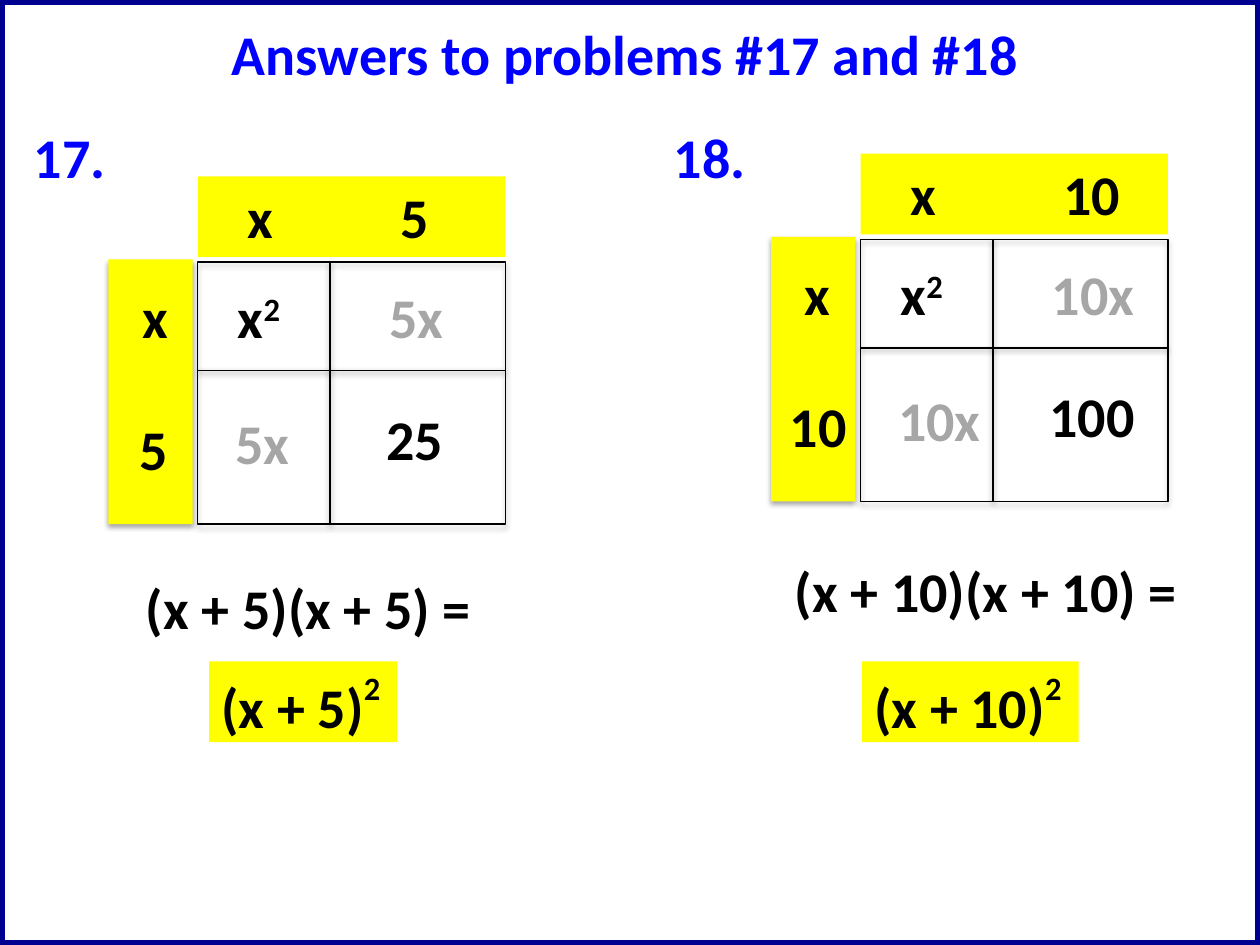
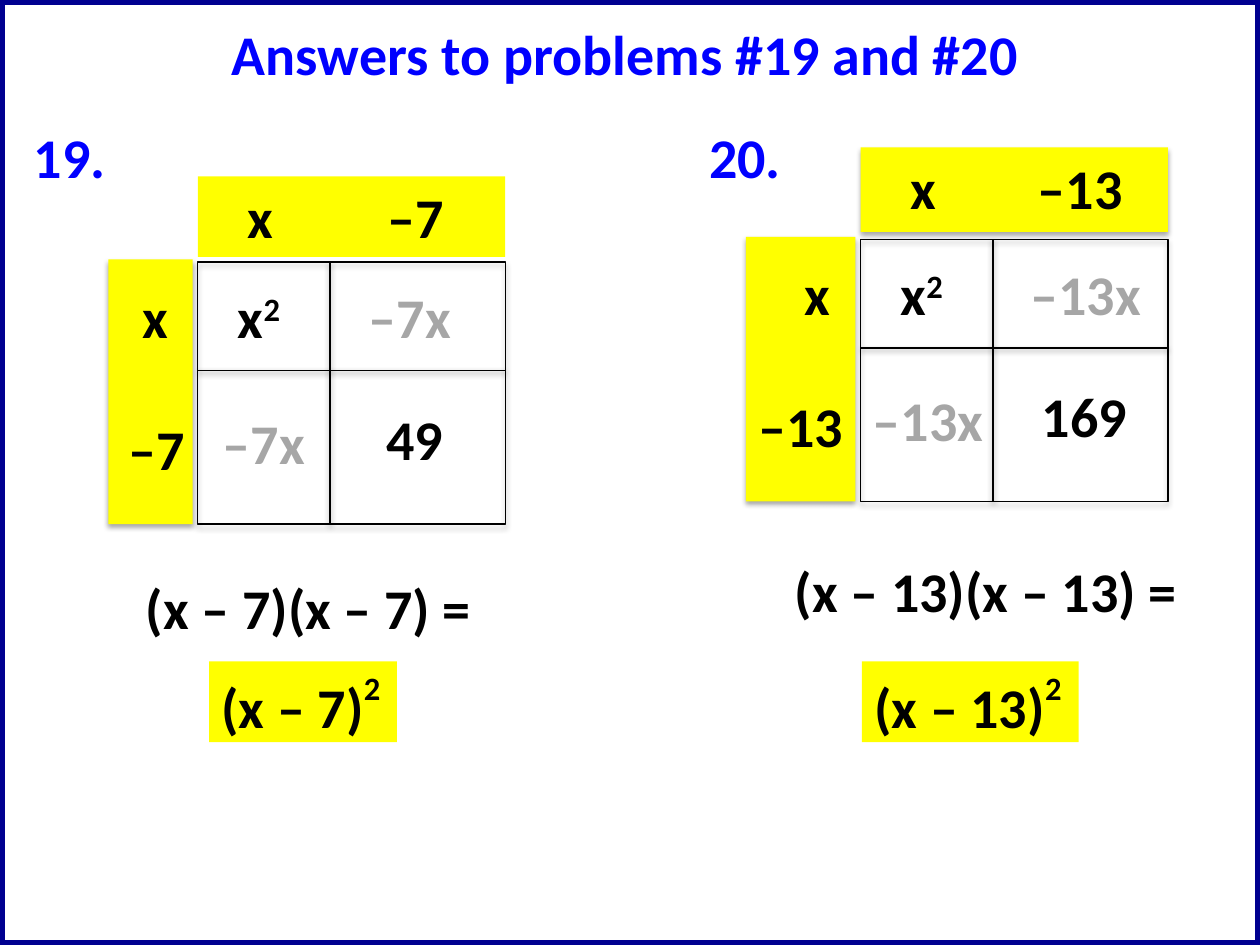
"""Build two answer slides that show squared binomials as area models."""
import pptx
import pptx.dml.color
import pptx.enum.shapes
import pptx.enum.text
import pptx.util
import lxml.etree
from pptx.oxml.ns import qn
from pptx.util import Inches

BLUE, NAVY, BLACK, GRAY, YELLOW, WHITE = "0000FF", "000090", "000000", "A6A6A6", "FFFF00", "FFFFFF"
FONT, TEXT_SIZE, TEXT_HEIGHT = "Calibri", 32, 0.64
GRID_WIDTH, GRID_HEIGHT = 2.44, 2.08
COLUMN_SPLIT, ROW_SPLIT = 1.05, 0.86
STRIP_GAP, HEADER_RISE, X_TAB = 0.04, 0.68, 0.3
SHAPE_SHADOW, LINE_SHADOW = (35, 1.8), (38, 1.6)

LEFT_SIDE = dict(grid=(1.57, 2.08), product=(1.06, 4.5, 2.81), answer=(1.66, 1.49))
RIGHT_SIDE = dict(grid=(6.83, 1.9), product=(6.21, 4.37, 3.26), answer=(6.84, 1.72))

# Pairs are (offset from the grid's left edge, width).
SLIDES = [
    ("Answers to problems #17 and #18", [
        dict(LEFT_SIDE, label="17.", label_left=0.17, constant="5", header_tab=1.51,
             side_width=0.67, side=(-0.56, 0.43), lower=(0.2, 0.64),
             upper=(1.42, 0.64), square=(1.4, 0.66), raised_header=False),
        dict(RIGHT_SIDE, label="18.", label_left=5.25, constant="10", header_tab=1.51,
             side_width=0.67, side=(-0.66, 0.66), lower=(0.2, 0.86),
             upper=(1.42, 0.86), square=(1.4, 0.88), raised_header=False),
    ]),
    ("Answers to problems #19 and #20", [
        dict(LEFT_SIDE, label="19.", label_left=0.17, constant="–7", header_tab=1.41,
             side_width=0.67, side=(-0.65, 0.65), lower=(0.1, 0.86),
             upper=(1.26, 0.86), square=(1.4, 0.66), raised_header=False),
        dict(RIGHT_SIDE, label="20.", label_left=5.53, constant="–13", header_tab=1.31,
             side_width=0.87, side=(-0.91, 0.88), lower=(0, 1.09),
             upper=(1.25, 1.09), square=(1.34, 0.88), raised_header=True),
    ]),
]


def color(hex_string):
    return pptx.dml.color.RGBColor.from_string(hex_string)


def add_shadow(part, opacity, distance):
    properties = part._element.spPr
    effects = properties.find(qn("a:effectLst"))
    if effects is None:
        effects = lxml.etree.SubElement(properties, qn("a:effectLst"))
    outer = lxml.etree.SubElement(
        effects, qn("a:outerShdw"), blurRad=str(pptx.util.Pt(3.1)),
        dist=str(pptx.util.Pt(distance)), dir="5400000", rotWithShape="0")
    tint = lxml.etree.SubElement(outer, qn("a:srgbClr"), val=BLACK)
    lxml.etree.SubElement(tint, qn("a:alpha"), val=str(opacity * 1000))


def add_rectangle(slide, left, top, width, height, fill=None, line=None, shadow=SHAPE_SHADOW):
    rectangle = slide.shapes.add_shape(
        pptx.enum.shapes.MSO_SHAPE.RECTANGLE,
        Inches(left), Inches(top), Inches(width), Inches(height))
    if fill:
        rectangle.fill.solid()
        rectangle.fill.fore_color.rgb = color(fill)
    else:
        rectangle.fill.background()
    if line:
        rectangle.line.color.rgb = color(line[0])
        rectangle.line.width = pptx.util.Pt(line[1])
    else:
        rectangle.line.fill.background()
    rectangle.shadow.inherit = False
    add_shadow(rectangle, *shadow)


def add_divider(slide, x1, y1, x2, y2):
    divider = slide.shapes.add_connector(
        pptx.enum.shapes.MSO_CONNECTOR.STRAIGHT,
        Inches(x1), Inches(y1), Inches(x2), Inches(y2))
    divider.line.color.rgb = color(BLACK)
    divider.line.width = pptx.util.Pt(1)
    add_shadow(divider, *LINE_SHADOW)


def add_text(slide, text, left, top, width, ink=BLACK, fill=None, raised=None, tabs=()):
    box = slide.shapes.add_textbox(Inches(left), Inches(top), Inches(width), Inches(TEXT_HEIGHT))
    if fill:
        box.fill.solid()
        box.fill.fore_color.rgb = color(fill)
    frame = box.text_frame
    frame.word_wrap = bool(tabs)
    frame.auto_size = pptx.enum.text.MSO_AUTO_SIZE.SHAPE_TO_FIT_TEXT
    paragraph = frame.paragraphs[0]
    paragraph.add_run().text = text
    if raised:
        exponent = paragraph.add_run()
        exponent.text = "2"
        exponent._r.get_or_add_rPr().set("baseline", str(raised * 1000))
    if tabs:
        stops = lxml.etree.SubElement(paragraph._p.get_or_add_pPr(), qn("a:tabLst"))
        for tab in tabs:
            lxml.etree.SubElement(stops, qn("a:tab"), pos=str(Inches(tab)), algn="l")
    font = paragraph.font
    font.name, font.size, font.bold = FONT, pptx.util.Pt(TEXT_SIZE), True
    font.color.rgb = color(ink)


def add_problem(slide, problem):
    left, top = problem["grid"]
    right, bottom = left + GRID_WIDTH, top + GRID_HEIGHT
    constant = problem["constant"]
    digits = constant.lstrip("–")
    binomial = f"(x {'–' if constant != digits else '+'} {digits})"

    def add_entry(text, place, drop, **style):
        offset, width = place
        add_text(slide, text, left + offset, top + drop, width, **style)

    add_text(slide, problem["label"], problem["label_left"], 0.92, 0.78, BLUE)

    add_rectangle(slide, left, top, GRID_WIDTH, GRID_HEIGHT, line=(BLACK, 0.75))
    add_divider(slide, left + COLUMN_SPLIT, top, left + COLUMN_SPLIT, bottom)
    add_divider(slide, right, top + ROW_SPLIT, left, top + ROW_SPLIT)
    add_entry("x", (0.22, 0.56), 0.11, raised=30)
    add_entry(f"{constant}x", problem["upper"], 0.11, ink=GRAY)
    add_entry(f"{constant}x", problem["lower"], 1.11, ink=GRAY)
    add_entry(str(int(digits) ** 2), problem["square"], 1.08)

    header_top = top - HEADER_RISE
    if problem["raised_header"]:
        header_top -= 0.05
        add_rectangle(slide, left, header_top, GRID_WIDTH, 0.67, YELLOW)
    add_text(slide, f"\tx\t{constant}", left, header_top, GRID_WIDTH,
             fill=None if problem["raised_header"] else YELLOW,
             tabs=(X_TAB, problem["header_tab"]))

    side_width = problem["side_width"]
    add_rectangle(slide, left - STRIP_GAP - side_width, top - 0.02, side_width, 2.1, YELLOW)
    add_entry("x", (-0.54, 0.41), 0.11)
    add_entry(constant, problem["side"], 1.16)

    add_text(slide, f"{binomial}{binomial} =", *problem["product"])
    answer_left, answer_width = problem["answer"]
    add_text(slide, binomial, answer_left, 5.25, answer_width, fill=YELLOW, raised=50)


def main():
    deck = pptx.Presentation()
    deck.slide_width, deck.slide_height = Inches(10), Inches(7.5)
    for title, problems in SLIDES:
        slide = deck.slides.add_slide(deck.slide_layouts[6])
        add_rectangle(slide, 0, 0, 10, 7.5, WHITE, (NAVY, 6), LINE_SHADOW)
        add_text(slide, title, 1.74, 0.11, 6.52, BLUE)
        for problem in problems:
            add_problem(slide, problem)
    deck.save("out.pptx")


if __name__ == "__main__":
    main()
